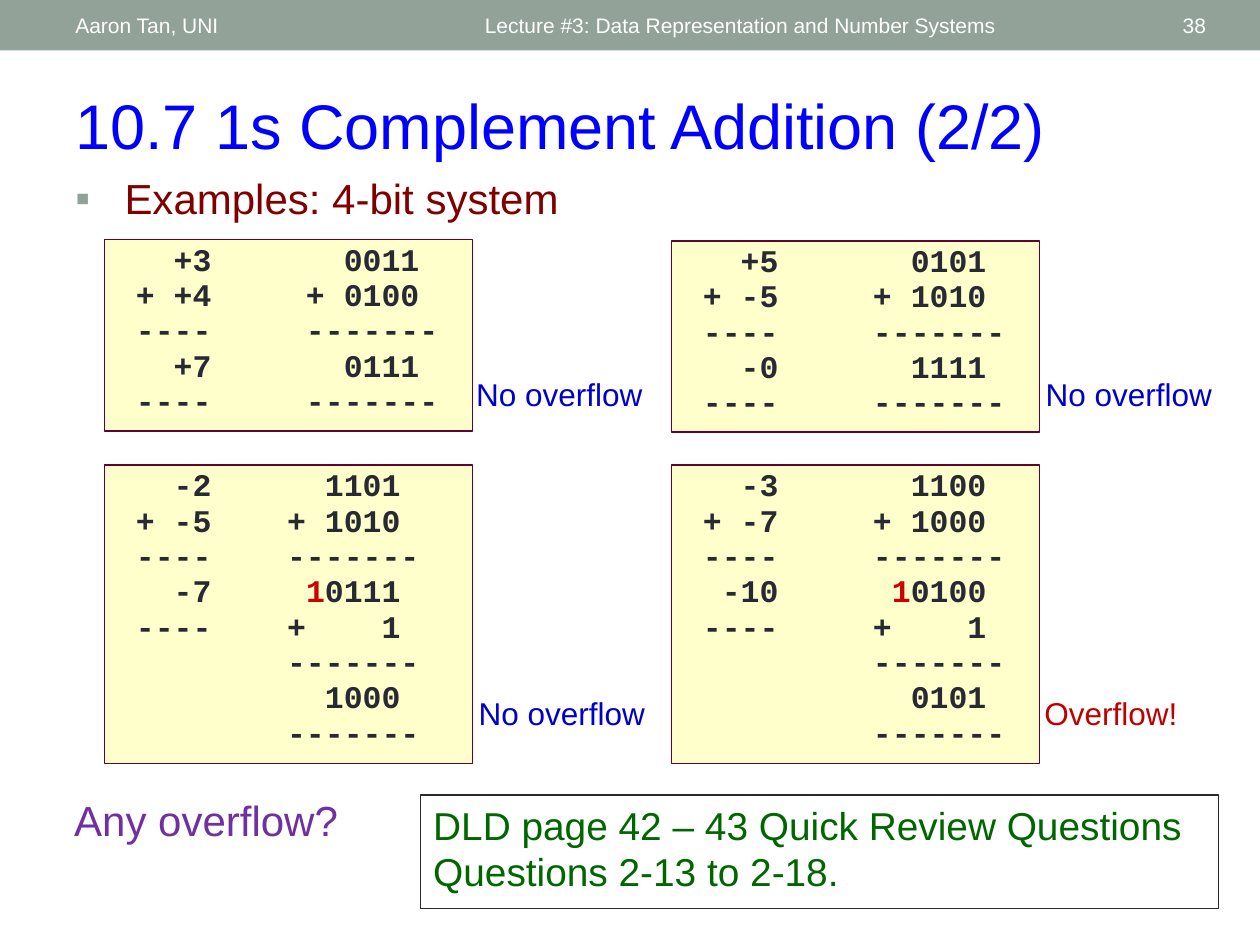
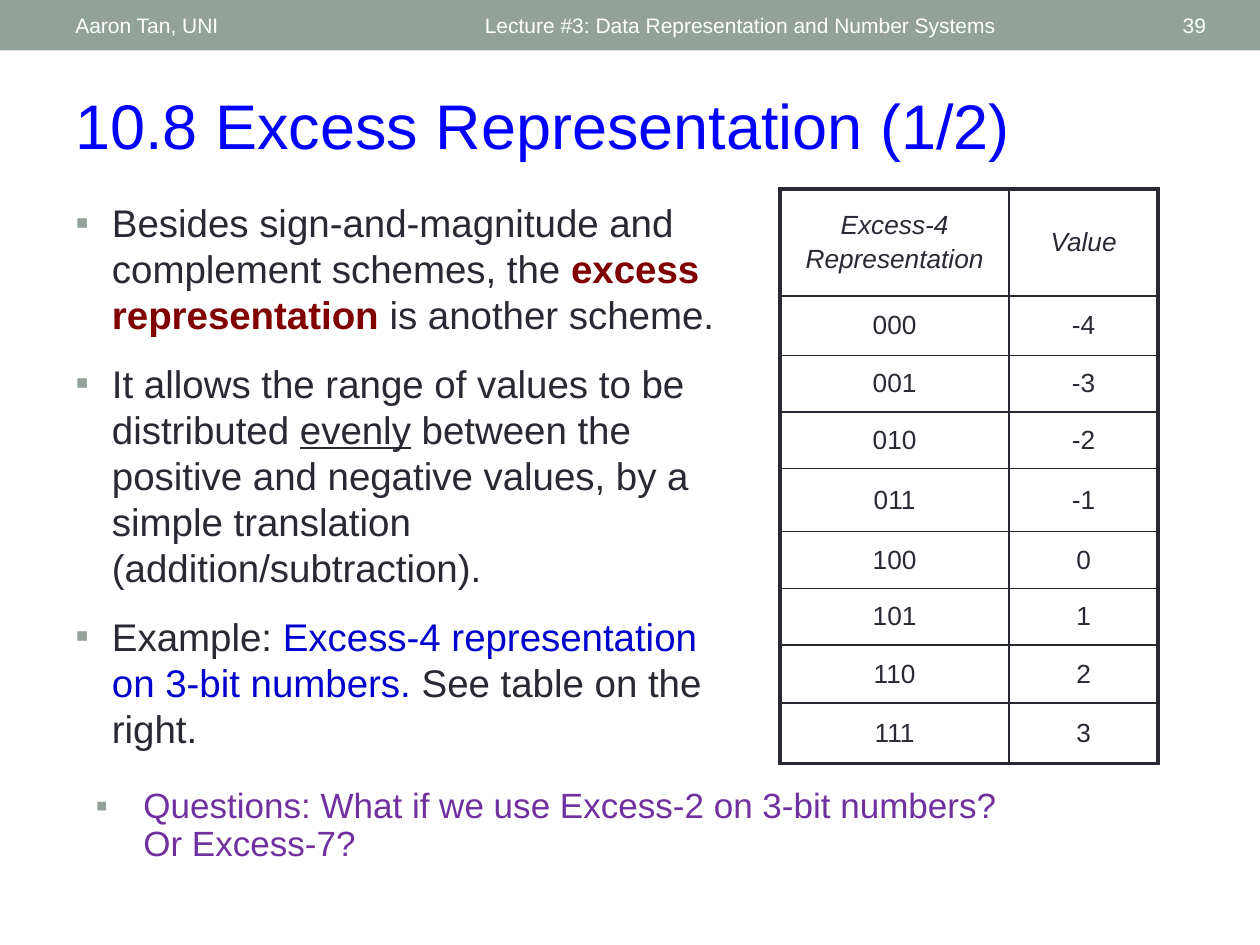
from lxml import etree
from pptx import Presentation
from pptx import util as u
from pptx.dml import color
from pptx.enum import shapes, text
from pptx.oxml import ns

COLOURS = {
    "band": "93A299", "white": "FFFFFF", "ink": "292934", "title": "0000FF",
    "maroon": "800000", "cream": "FFFFCC", "plum": "660033", "carry": "CC0000",
    "blue": "0000CC", "red": "C00000", "purple": "7030A0", "green": "006600",
}
CENTRE, RIGHT = text.PP_ALIGN.CENTER, text.PP_ALIGN.RIGHT
MIDDLE = text.MSO_ANCHOR.MIDDLE
CODE = {"name": "Courier New", "size": 18, "bold": True}
CODE_PARAGRAPH = {"line_spacing": 0.85, "space_before": u.Pt(1.8)}


def rgb(name):
    return color.RGBColor.from_string(COLOURS[name])


def add_xml(parent, tag, **attributes):
    return etree.SubElement(parent, ns.qn(tag), attributes)


def add_run(paragraph, words, size=18, colour="ink", name="Arial", **style):
    """Add one run; a line feed in the words becomes a line break."""
    for index, line in enumerate(words.split("\n")):
        if index:
            paragraph.add_line_break()
        run = paragraph.add_run()
        run.text = line
        formats = {"size": u.Pt(size), "name": name, **style}
        for key, value in formats.items():
            setattr(run.font, key, value)
        run.font.color.rgb = rgb(colour)


def set_bullet(paragraph, indent):
    properties = paragraph._p.get_or_add_pPr()
    properties.set("marL", str(u.Inches(indent)))
    properties.set("indent", str(-u.Inches(indent)))
    bullet_colour = add_xml(properties, "a:buClr")
    add_xml(bullet_colour, "a:srgbClr", val=COLOURS["band"])
    add_xml(properties, "a:buFont", typeface="Arial")
    add_xml(properties, "a:buChar", char="▪")


def write(frame, paragraphs, font, layout=None, bullet=None,
          anchor=text.MSO_ANCHOR.TOP):
    """Fill a frame; each paragraph is a string or a list of (words, style)."""
    frame.word_wrap = True
    frame.vertical_anchor = anchor
    for index, content in enumerate(paragraphs):
        paragraph = frame.add_paragraph() if index else frame.paragraphs[0]
        settings = {"alignment": text.PP_ALIGN.LEFT, **(layout or {})}
        for key, value in settings.items():
            setattr(paragraph, key, value)
        if bullet:
            set_bullet(paragraph, bullet)
        runs = [(content, {})] if isinstance(content, str) else content
        for words, style in runs:
            add_run(paragraph, words, **{**font, **style})


def add_text(slide, box, paragraphs, font, **options):
    shape = slide.shapes.add_textbox(*map(u.Inches, box))
    write(shape.text_frame, paragraphs, font, **options)


def add_box(slide, box, fill=None, line=None, width=1):
    shape = slide.shapes.add_shape(shapes.MSO_SHAPE.RECTANGLE,
                                   *map(u.Inches, box))
    shape.shadow.inherit = False
    if fill:
        shape.fill.solid()
        shape.fill.fore_color.rgb = rgb(fill)
    else:
        shape.fill.background()
    if line:
        shape.line.color.rgb = rgb(line)
        shape.line.width = u.Pt(width)
    else:
        shape.line.fill.background()
    return shape


def add_sum(slide, left, top, height, lines):
    """A cream panel with one worked addition."""
    panel = add_box(slide, (left, top, 2.92, height), "cream", "plum")
    write(panel.text_frame, lines, CODE, layout=CODE_PARAGRAPH)


def set_borders(cell, widths):
    properties = cell._tc.get_or_add_tcPr()
    for side, width in zip("LRTB", widths):
        line = add_xml(properties, f"a:ln{side}", w=str(u.Pt(width)))
        fill = add_xml(line, "a:solidFill")
        add_xml(fill, "a:srgbClr", val=COLOURS["ink"])


def add_value_table(slide, box, widths, heights, rows):
    frame = slide.shapes.add_table(len(rows), len(widths),
                                   *map(u.Inches, box))
    table = frame.table
    table.first_row = table.horz_banding = False
    for column, width in zip(table.columns, widths):
        column.width = u.Inches(width)
    last_row, last_column = len(rows) - 1, len(widths) - 1
    for r, values in enumerate(rows):
        table.rows[r].height = u.Inches(heights[r])
        for c, value in enumerate(values):
            cell = table.cell(r, c)
            write(cell.text_frame, value.split("\n"),
                  {"size": 15, "italic": r == 0},
                  layout={"alignment": CENTRE, "space_before": u.Pt(3)})
            cell.vertical_anchor = MIDDLE
            # Thick outside, thin inside
            outer = (c == 0, c == last_column, r == 0, r == last_row)
            set_borders(cell, [2.25 if edge else 1 for edge in outer])
            cell.fill.background()


def add_slide(presentation, title, number):
    """A blank slide with the shared band, header texts and title."""
    slide = presentation.slides.add_slide(presentation.slide_layouts[6])
    add_box(slide, (0, 0, 10, 0.4), "band")
    header = {"size": 12, "colour": "white"}
    for left, width, words, layout in (
            (3.75, 4.5, "Lecture #3: Data Representation and Number Systems",
             None),
            (0.5, 3.17, "Aaron Tan, UNI", None),
            (8.72, 0.95, str(number), {"alignment": RIGHT})):
        add_text(slide, (left, 0.02, width, 0.36), [words], header,
                 layout=layout, anchor=MIDDLE)
    add_text(slide, (0.5, 0.64, 9, 0.71), [title],
             {"size": 36, "colour": "title"})
    return slide


def build_addition(presentation):
    slide = add_slide(presentation, "10.7 1s Complement Addition (2/2)", 38)
    add_text(slide, (0.5, 1.32, 9, 0.58), ["Examples: 4-bit system"],
             {"size": 24, "colour": "maroon"},
             layout={"space_before": u.Pt(4.8)}, bullet=0.39)

    # Worked additions
    carry = ("1", {"colour": "carry"})
    add_sum(slide, 0.83, 1.9, 1.52, [
        "   +3       0011",
        " + +4     + 0100",
        " ----     -------",
        "   +7       0111",
        " ----     -------"])
    add_sum(slide, 5.33, 1.91, 1.52, [
        "   +5       0101",
        " + -5     + 1010",
        " ----     -------",
        "   -0       1111",
        " ----     -------"])
    add_sum(slide, 0.83, 3.69, 2.37, [
        "   -2      1101",
        " + -5    + 1010",
        " ----    -------",
        [("   -7     ", {}), carry, ("0111", {})],
        " ----    +    1",
        "         ------- ",
        "           1000",
        "         -------"])
    add_sum(slide, 5.33, 3.69, 2.37, [
        "   -3       1100",
        " + -7     + 1000",
        " ----     -------",
        [("  -10      ", {}), carry, ("0100", {})],
        " ----     +    1",
        "          -------",
        "            0101",
        "          -------"])

    # Verdicts beside the panels
    for left, top, words, colour in (
            (3.68, 2.93, "No overflow", "blue"),
            (8.2, 2.93, "No overflow", "blue"),
            (3.7, 5.46, "No overflow", "blue"),
            (8.19, 5.46, "Overflow!", "red")):
        add_text(slide, (left, top, 1.69, 0.4), [words], {"colour": colour})

    # Question and reading reference
    add_text(slide, (0.49, 6.26, 2.65, 0.51), ["Any overflow?"],
             {"size": 24, "colour": "purple"})
    reference = add_box(slide, (3.34, 6.31, 6.33, 0.9), line="ink", width=0.75)
    write(reference.text_frame,
          ["DLD page 42 – 43 Quick Review Questions\n"
           "Questions 2-13 to 2-18."],
          {"size": 22.2, "colour": "green"},
          layout={"space_before": u.Pt(4.4)})


def build_excess(presentation):
    slide = add_slide(presentation, "10.8 Excess Representation (1/2)", 39)

    # Explanation
    add_text(slide, (0.5, 1.53, 5.39, 4.53), [
        [("Besides sign-and-magnitude and complement schemes, the ", {}),
         ("excess representation", {"colour": "maroon", "bold": True}),
         (" is another scheme.", {})],
        [("It allows the range of values to be distributed ", {}),
         ("evenly", {"underline": True}),
         (" between the positive and negative values, by a simple "
          "translation (addition/subtraction).", {})],
        [("Example: ", {}),
         ("Excess-4 representation on 3-bit numbers. ", {"colour": "blue"}),
         ("See table on the right.", {})],
    ], {"size": 22}, bullet=0.29,
        layout={"space_before": u.Pt(6), "space_after": u.Pt(6.6)})

    # Excess-4 codes: value = code - 4
    rows = [("Excess-4\nRepresentation", "Value")]
    rows += [(f"{code:03b}", str(code - 4)) for code in range(8)]
    add_value_table(slide, (6.19, 1.5, 3, 4.56), (1.82, 1.18),
                    (0.85, 0.47, 0.45, 0.45, 0.5, 0.45, 0.45, 0.46, 0.48),
                    rows)

    # Closing question
    add_text(slide, (0.66, 6.21, 7.59, 0.81),
             ["Questions: What if we use Excess-2 on 3-bit numbers? "
              "Or Excess-7?"],
             {"size": 20, "colour": "purple"}, bullet=0.38,
             layout={"line_spacing": 0.9, "space_before": u.Pt(4),
                     "space_after": u.Pt(6)})


def main():
    presentation = Presentation()
    presentation.slide_width = u.Inches(10)
    presentation.slide_height = u.Inches(7.5)
    build_addition(presentation)
    build_excess(presentation)
    presentation.save("out.pptx")


main()
